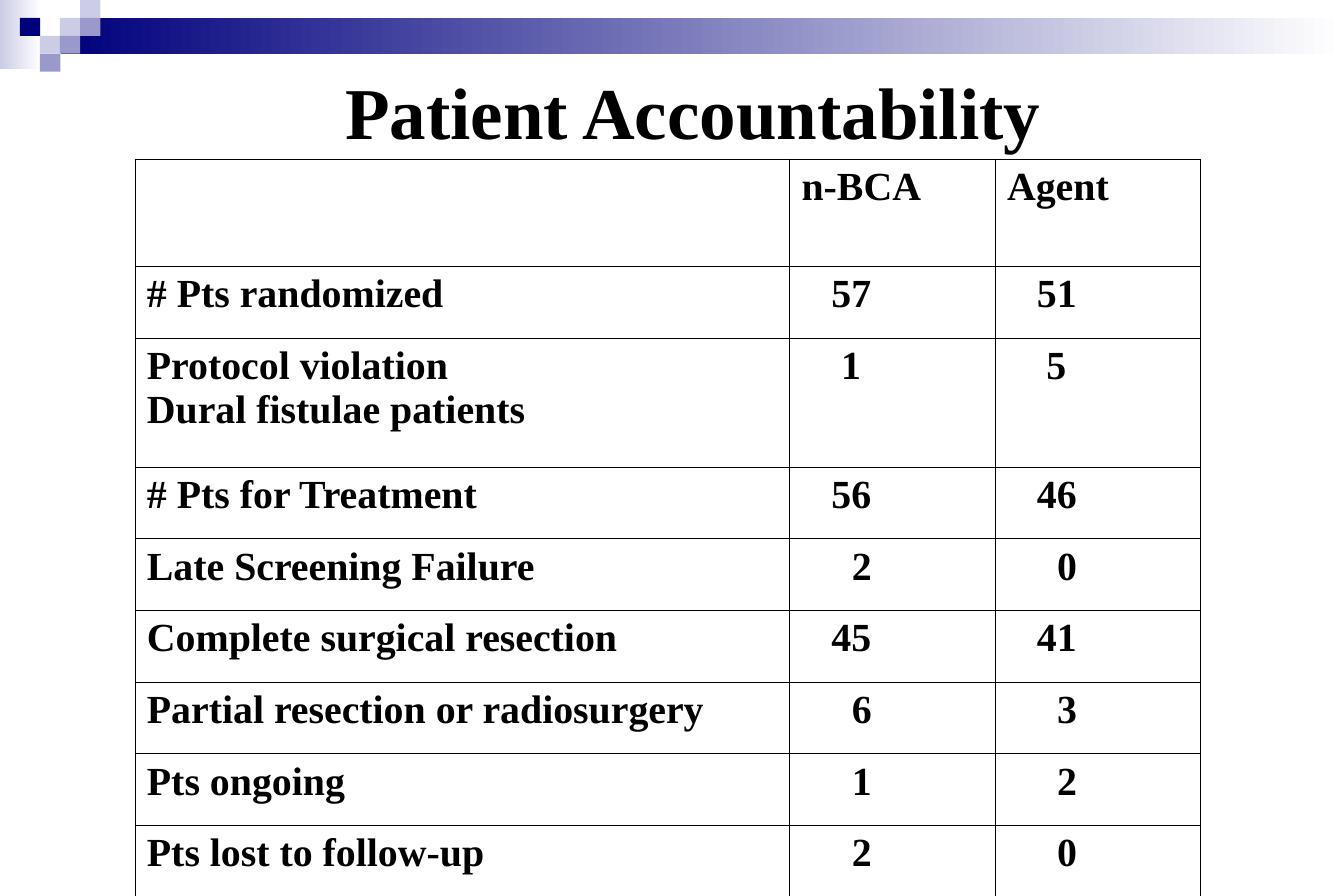
"""Builds the Patient Accountability slide."""
from lxml.etree import SubElement
from pptx import Presentation
from pptx.dml.color import RGBColor
from pptx.enum.shapes import MSO_SHAPE
from pptx.enum.text import MSO_ANCHOR, MSO_AUTO_SIZE
from pptx.oxml.ns import qn
from pptx.util import Inches, Pt

TITLE = "Patient Accountability"
ROWS = [
    ("", "n-BCA", "Agent"),
    ("# Pts randomized", "57", "51"),
    ("Protocol violation\nDural fistulae patients", "1", "5"),
    ("# Pts for Treatment", "56", "46"),
    ("Late Screening Failure", "2", "0"),
    ("Complete surgical resection", "45", "41"),
    ("Partial resection or radiosurgery", "6", "3"),
    ("Pts ongoing", "1", "2"),
    ("Pts lost to follow-up", "2", "0"),
]
COLUMN_WIDTHS = (5.48, 1.72, 1.72)
ROW_HEIGHTS = (0.9, 0.6, 1.08) + (0.6,) * 6
HEADER_ROW, VIOLATION_ROW = 0, 2
TABLE_LEFT, TABLE_TOP = 1.13, 1.33

FONT = "Times New Roman"
BLACK = RGBColor(0x00, 0x00, 0x00)
WHITE = RGBColor(0xFF, 0xFF, 0xFF)
NAVY = RGBColor(0x00, 0x00, 0x7D)
LILAC = RGBColor(0x99, 0x99, 0xCC)
PALE = RGBColor(0xCC, 0xCC, 0xE6)

BANDS = [((0, 0, 0.35, 0.58), PALE), ((0.51, 0.15, 10.74, 0.3), NAVY)]
SQUARES = [(3, 1, PALE), (4, 0, PALE), (4, 1, LILAC), (2, 2, PALE),
           (1, 1, NAVY), (3, 2, LILAC), (2, 3, LILAC)]
SQUARE_WIDTH, SQUARE_HEIGHT = 0.17, 0.15
SQUARE_STEP = 0.67 / 4


def add_rectangle(page, area):
    shape = page.shapes.add_shape(MSO_SHAPE.RECTANGLE, *map(Inches, area))
    shape.shadow.inherit = False
    shape.line.fill.background()
    return shape


def add_header_pattern(page):
    for area, color in BANDS:
        fill = add_rectangle(page, area).fill
        fill.gradient()
        fill.gradient_angle = 180
        for stop, shade in zip(fill.gradient_stops, (WHITE, color)):
            stop.color.rgb = shade
    for column, row, color in SQUARES:
        area = (column * SQUARE_STEP, row * SQUARE_HEIGHT, SQUARE_WIDTH, SQUARE_HEIGHT)
        fill = add_rectangle(page, area).fill
        fill.solid()
        fill.fore_color.rgb = color


def write(para, text, size):
    span = para.add_run()
    span.text = text
    font = span.font
    font.name, font.size, font.bold = FONT, Pt(size), True
    font.color.rgb = BLACK


def add_title(page):
    box = page.shapes.add_textbox(Inches(2.79), Inches(0.5), Inches(6.06), Inches(0.84))
    frame = box.text_frame
    frame.word_wrap = False
    frame.auto_size = MSO_AUTO_SIZE.SHAPE_TO_FIT_TEXT
    frame.vertical_anchor = MSO_ANCHOR.MIDDLE
    write(frame.paragraphs[0], TITLE, 44)


def count_indent(row, column, text):
    if row == HEADER_ROW or column == 0:
        return 0
    if row == VIOLATION_ROW:
        return 0.33
    return 0.25 if len(text) == 2 else 0.42


def add_borders(cell):
    properties = cell._tc.get_or_add_tcPr()
    for side in ("a:lnL", "a:lnR", "a:lnT", "a:lnB"):
        line = SubElement(properties, qn(side), w=str(Pt(0.45)))
        fill = SubElement(line, qn("a:solidFill"))
        SubElement(fill, qn("a:srgbClr"), val=str(BLACK))


def fill_cell(cell, text, indent):
    add_borders(cell)
    cell.fill.background()
    frame = cell.text_frame
    for number, line in enumerate(text.split("\n") if text else []):
        para = frame.add_paragraph() if number else frame.paragraphs[0]
        if indent:
            properties = para._p.get_or_add_pPr()
            properties.set("marL", str(Inches(indent)))
            properties.set("indent", "0")
        write(para, line, 24)


def add_patient_table(page):
    table = page.shapes.add_table(
        len(ROWS), len(COLUMN_WIDTHS), Inches(TABLE_LEFT), Inches(TABLE_TOP),
        Inches(sum(COLUMN_WIDTHS)), Inches(sum(ROW_HEIGHTS))).table
    table.first_row = table.horz_banding = False
    for column, width in zip(table.columns, COLUMN_WIDTHS):
        column.width = Inches(width)
    for row, height in zip(table.rows, ROW_HEIGHTS):
        row.height = Inches(height)
    for row, texts in enumerate(ROWS):
        for column, text in enumerate(texts):
            fill_cell(table.cell(row, column), text, count_indent(row, column, text))


def main():
    deck = Presentation()
    deck.slide_width, deck.slide_height = Inches(11.25), Inches(7.5)
    page = deck.slides.add_slide(deck.slide_layouts[6])
    add_header_pattern(page)
    add_title(page)
    add_patient_table(page)
    deck.save("out.pptx")


if __name__ == "__main__":
    main()
